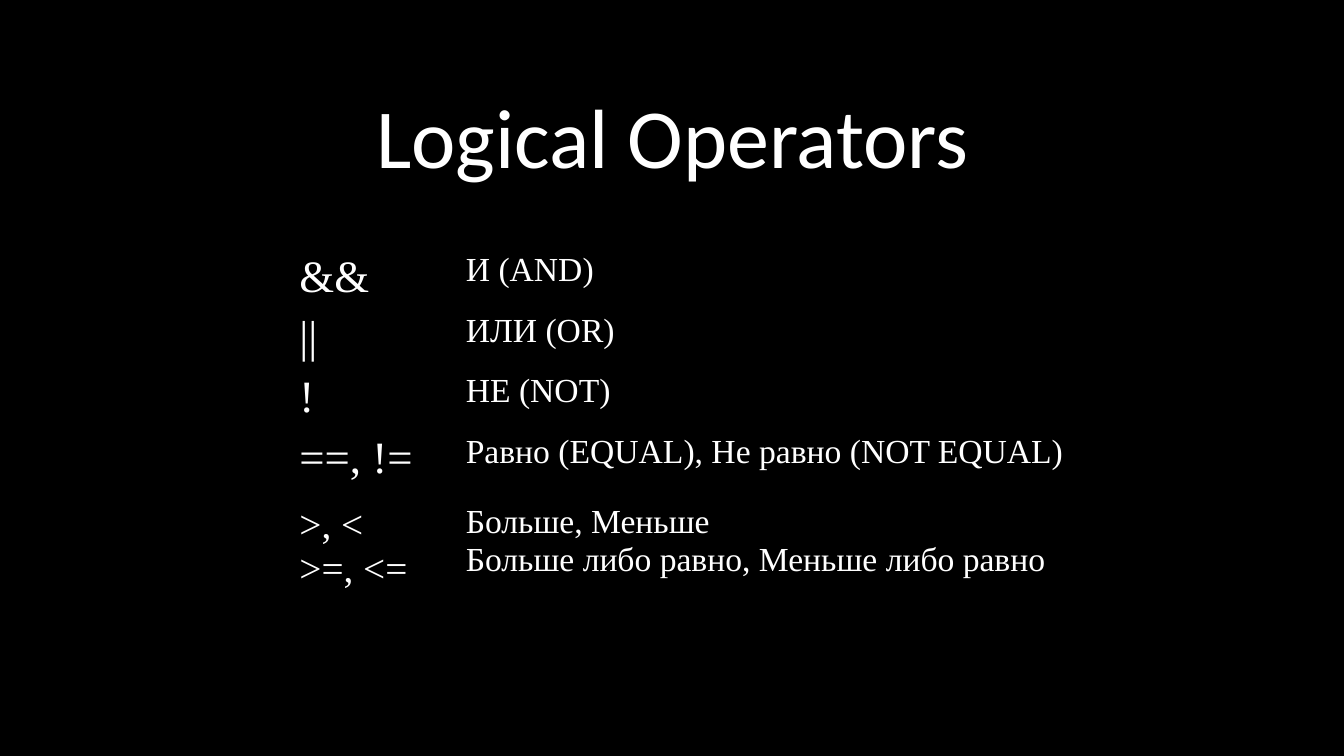
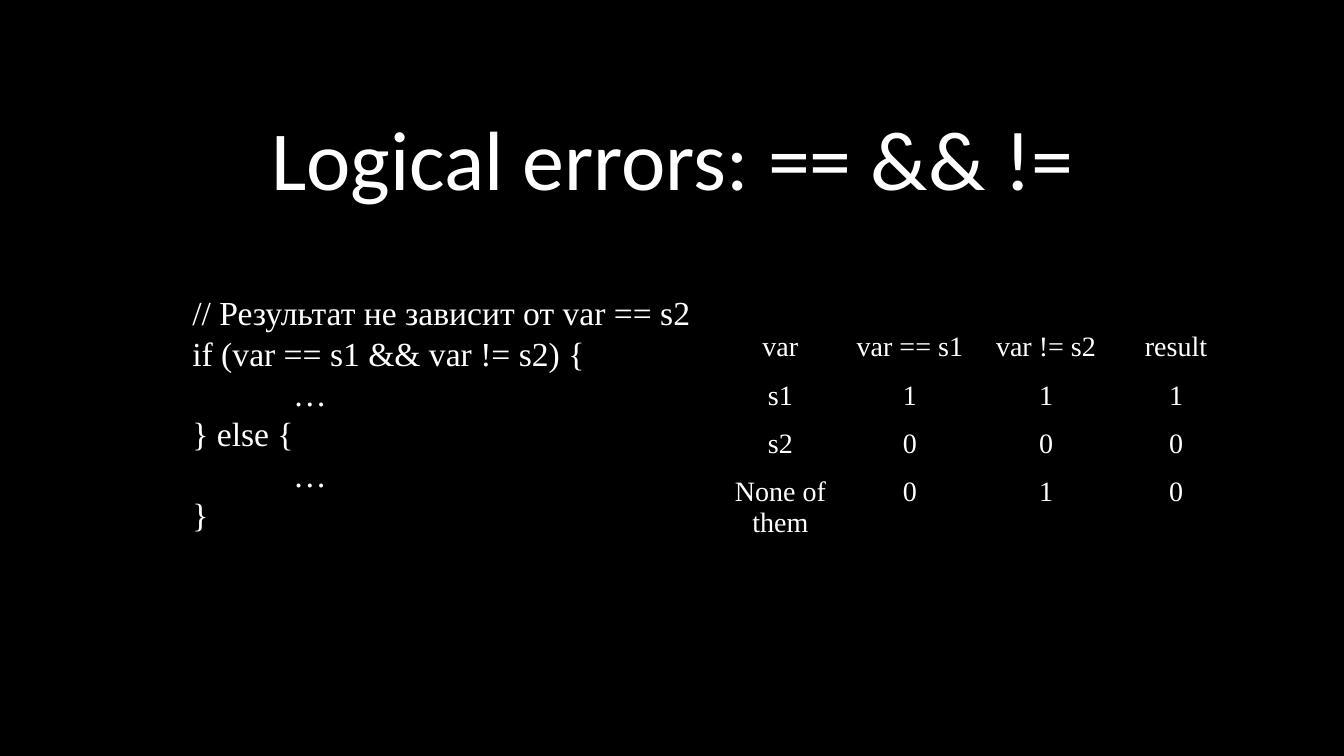
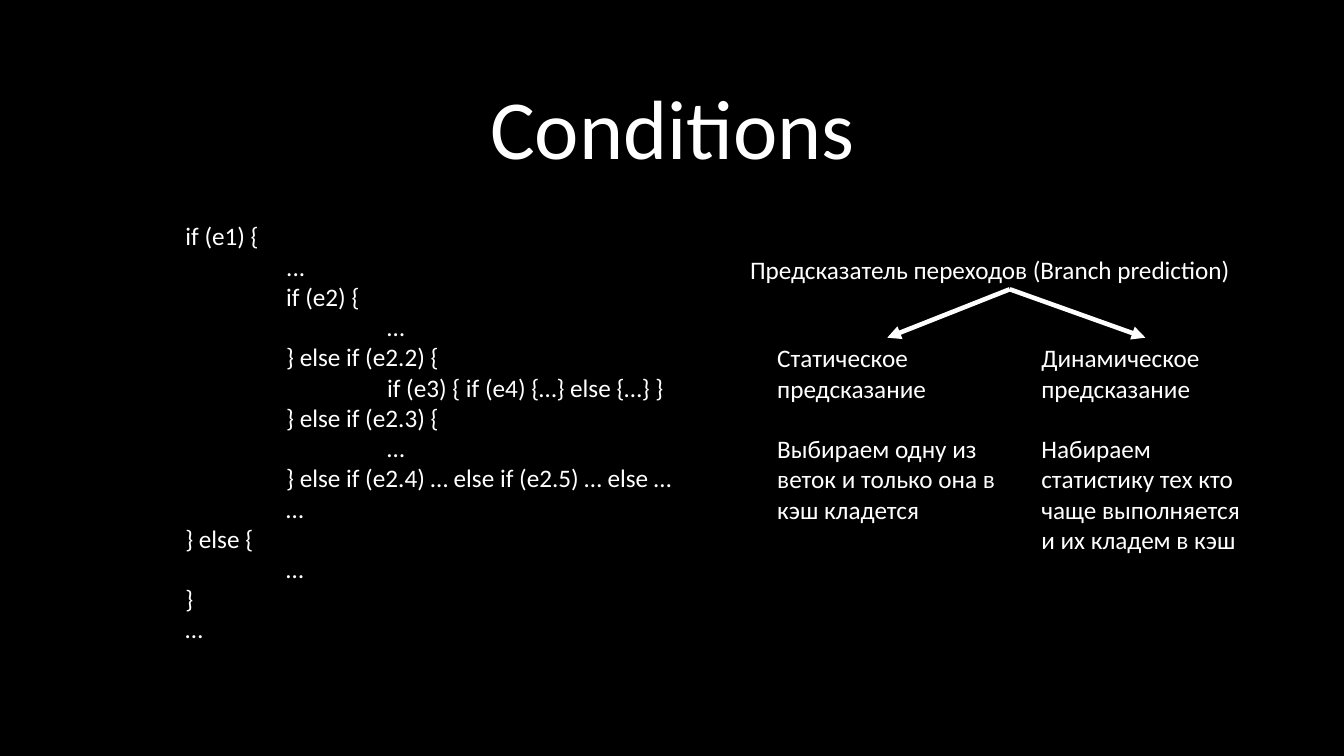
from lxml.etree import SubElement
from pptx import Presentation
from pptx.dml.color import RGBColor
from pptx.enum.shapes import MSO_CONNECTOR
from pptx.enum.text import MSO_ANCHOR, MSO_AUTO_SIZE, PP_ALIGN
from pptx.oxml.ns import qn
from pptx.util import Inches, Pt

COLORS = {"background": "000000", "text": "FFFFFF"}
SANS, SERIF = "Calibri", "Times New Roman"
TITLE_ONLY = 5
NO_GRID_STYLE = "{2D5ABB26-0587-4C30-8999-92F81FD0307C}"
BOTTOM, TOP = 2, 0

OPERATORS = [
    ("&&", "И (AND)"),
    ("||", "ИЛИ (OR)"),
    ("!", "НЕ (NOT)"),
    ("==, !=", "Равно (EQUAL), Не равно (NOT EQUAL)"),
    (">, <\n>=, <=", "Больше, Меньше\nБольше либо равно, Меньше либо равно"),
]

ERROR_CODE = """// Результат не зависит от var == s2
if (var == s1 && var != s2) {
\t…
} else {
\t…
}"""

TRUTH_TABLE = [
    ("var", "var == s1", "var != s2", "result"),
    ("s1", "1", "1", "1"),
    ("s2", "0", "0", "0"),
    ("None of them", "0", "1", "0"),
]

CONDITIONS_CODE = """if (e1) {
\t...
\tif (e2) {
\t\t…
\t} else if (e2.2) {
\t\tif (e3) { if (e4) {…} else {…} }
\t} else if (e2.3) {
\t\t…
\t} else if (e2.4) … else if (e2.5) … else …
\t…
} else {
\t…
}
…"""

STATIC = "Статическое\nпредсказание\nВыбираем одну из веток и только она в кэш кладется"
DYNAMIC = "Динамическое\nпредсказание\nНабираем статистику тех кто чаще выполняется и их кладем в кэш"


def color(name):
    return RGBColor.from_string(COLORS[name])


def add_tabs(p):
    tabs = SubElement(p._p.get_or_add_pPr(), qn("a:tabLst"))
    for stop in (1, 2):
        SubElement(tabs, qn("a:tab"), pos=str(Inches(stop)), algn="l")


def write(tf, text, font, size, align=PP_ALIGN.LEFT):
    for i, line in enumerate(text.split("\n")):
        p = tf.add_paragraph() if i else tf.paragraphs[0]
        p.alignment = align
        if "\t" in line:
            add_tabs(p)
        r = p.add_run()
        r.text = line
        r.font.name = font
        r.font.size = Pt(size)
        r.font.color.rgb = color("text")


def add_slide(prs, title, top):
    s = prs.slides.add_slide(prs.slide_layouts[TITLE_ONLY])
    sp = s.shapes.title
    sp.left, sp.top, sp.width, sp.height = map(Inches, (1.74, top, 9.86, 1.27))
    tf = sp.text_frame
    tf.auto_size = MSO_AUTO_SIZE.NONE
    tf.vertical_anchor = MSO_ANCHOR.BOTTOM
    write(tf, title, SANS, 60, PP_ALIGN.CENTER)
    tf.paragraphs[0].line_spacing = 0.9
    return s


def add_text(s, box, text, font=SANS, size=18):
    sp = s.shapes.add_textbox(*map(Inches, box))
    sp.text_frame.word_wrap = True
    write(sp.text_frame, text, font, size)
    return sp


def add_table(s, left, top, widths, heights, rows, size_of, align=PP_ALIGN.LEFT):
    frame = s.shapes.add_table(
        len(rows), len(widths), Inches(left), Inches(top),
        Inches(sum(widths)), Inches(sum(heights)))
    table = frame.table
    table.first_row = table.horz_banding = False
    table._tbl.tblPr.find(qn("a:tableStyleId")).text = NO_GRID_STYLE
    for column, width in zip(table.columns, widths):
        column.width = Inches(width)
    for i, (row, height) in enumerate(zip(rows, heights)):
        table.rows[i].height = Inches(height)
        for j, text in enumerate(row):
            cell = table.cell(i, j)
            cell.fill.background()
            cell.margin_bottom = Inches(0.03)
            write(cell.text_frame, text, SERIF, size_of(i, j), align)


def add_arrow(s, source, target):
    c = s.shapes.add_connector(MSO_CONNECTOR.STRAIGHT, 0, 0, 0, 0)
    c.begin_connect(source, BOTTOM)
    c.end_connect(target, TOP)
    c.line.color.rgb = color("text")
    c.line.width = Pt(3.25)
    SubElement(c.line._get_or_add_ln(), qn("a:tailEnd"), type="triangle")
    SubElement(c._element.spPr, qn("a:effectLst"))


def operator_size(row, column):
    if column == 1:
        return 24
    return 28 if row == len(OPERATORS) - 1 else 32


def operators_slide(prs):
    s = add_slide(prs, "Logical Operators", 0.63)
    add_table(s, 2.87, 2.45, [1.65, 7.19], [0.6] * 3 + [0.7, 1],
              OPERATORS, operator_size)


def errors_slide(prs):
    s = add_slide(prs, "Logical errors: == && !=", 0.85)
    add_text(s, (1.81, 2.85, 5.3, 2.52), ERROR_CODE, SERIF, 24)
    add_table(s, 7.16, 3.24, [1.16, 1.41, 1.29, 1.29], [0.48] * 3 + [0.73],
              TRUTH_TABLE, lambda row, column: 20, PP_ALIGN.CENTER)


def conditions_slide(prs):
    s = add_slide(prs, "Conditions", 0.54)
    add_text(s, (1.74, 2.14, 5.61, 4.34), CONDITIONS_CODE)
    predictor = add_text(s, (7.34, 2.47, 5.35, 0.4),
                         "Предсказатель переходов (Branch prediction)")
    for left, width, height, text in ((7.61, 2.38, 1.92, STATIC),
                                      (10.23, 2.26, 2.22, DYNAMIC)):
        kind = add_text(s, (left, 3.35, width, height), text)
        kind.text_frame.paragraphs[-1].space_before = Pt(21.6)
        add_arrow(s, predictor, kind)


def main():
    prs = Presentation()
    prs.slide_width, prs.slide_height = Inches(13.33), Inches(7.5)
    fill = prs.slide_master.background.fill
    fill.solid()
    fill.fore_color.rgb = color("background")
    operators_slide(prs)
    errors_slide(prs)
    conditions_slide(prs)
    prs.save("out.pptx")


if __name__ == "__main__":
    main()
